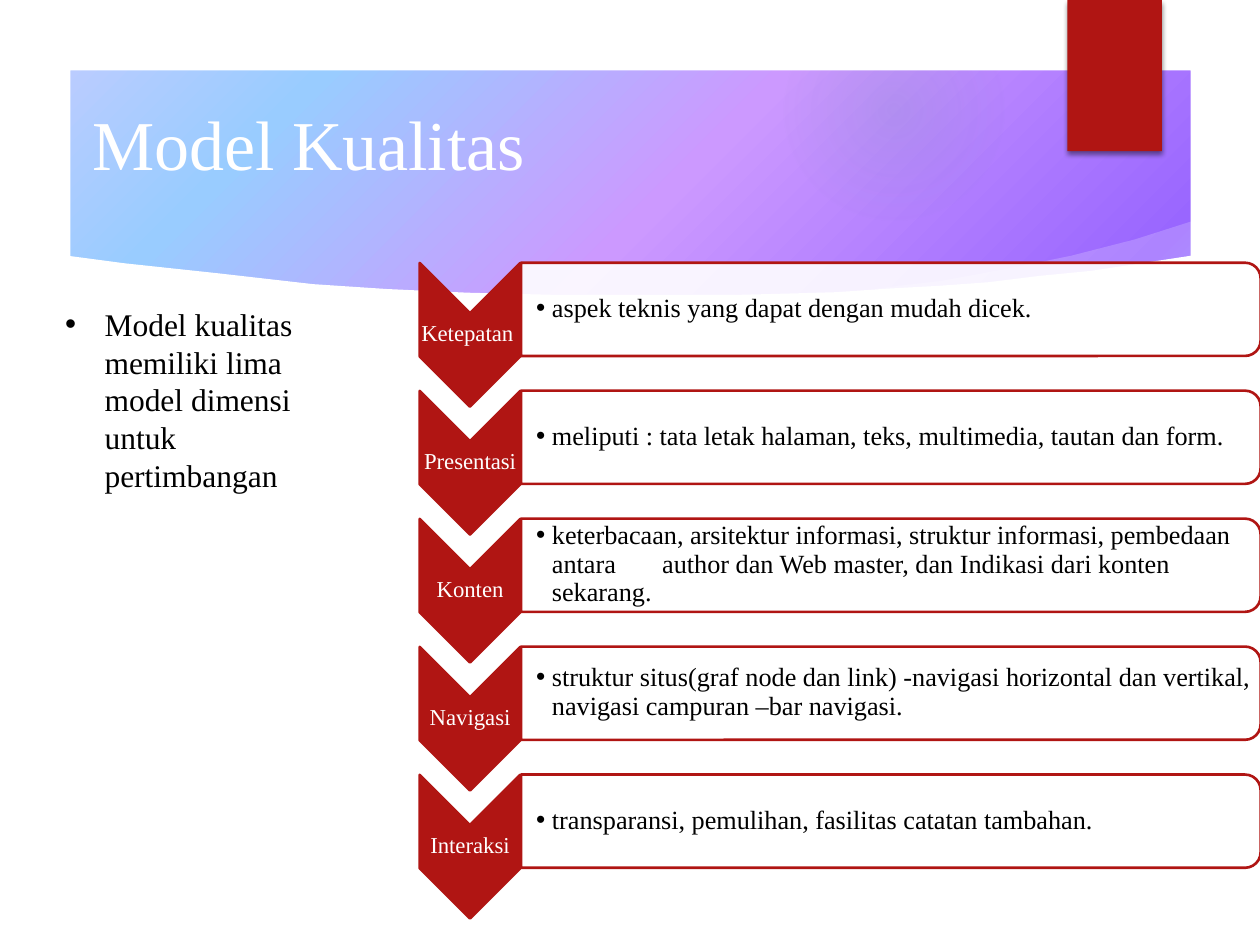
from dataclasses import dataclass

import pptx
import pptx.dml.color
import pptx.enum.shapes
import pptx.enum.text
import pptx.oxml
import pptx.oxml.ns
import pptx.util
from lxml import etree

Pt = pptx.util.Pt
RGB = pptx.dml.color.RGBColor
Kind = pptx.enum.shapes.MSO_SHAPE
Anchor = pptx.enum.text.MSO_ANCHOR
Align = pptx.enum.text.PP_ALIGN
Fit = pptx.enum.text.MSO_AUTO_SIZE
qn = pptx.oxml.ns.qn

RED = RGB(0xB0, 0x15, 0x13)
WHITE = RGB(0xFF, 0xFF, 0xFF)
BLACK = RGB(0, 0, 0)
TEAL = RGB(0x5F, 0x9C, 0x9D)
LILAC = RGB(0xCC, 0xCC, 0xFF)
SKY = RGB(0x99, 0xCC, 0xFF)
VIOLET = RGB(0x99, 0x66, 0xFF)
ORCHID = RGB(0xCC, 0x99, 0xFF)
FONT = "Times New Roman"

WIDTH, HEIGHT = 720, 540
PITCH = 73.12
LINEAR = '<a:lin ang="13500000" scaled="0"/>'
RADIAL = '<a:path path="circle"><a:fillToRect l="50000" t="50000" r="50000" b="50000"/></a:path>'

HOLE = [(40.3, 40.3), (680.4, 40.3), (680.4, 146.2), (652, 150.5), (623.5, 154.8),
        (594, 157.7), (565, 161.3), (536, 163.4), (507, 165), (478, 167),
        (450, 167.8), (422.6, 168.5), (368, 168.5), (316, 168.5), (267, 167.3),
        (221, 165.2), (179, 162.4), (124.6, 156.2), (71.3, 150.5), (40.3, 146.4)]
SWOOSH = [(501.1, 164.9), (537.8, 160.6), (576.7, 153.4), (612, 146.2), (648.7, 136.8),
          (684.7, 125.3), (688.3, 149.8), (640, 157), (590, 163.5), (540, 167.5), (503.3, 168.5)]


@dataclass
class Box:
    """A frame in points."""
    left: float
    top: float
    width: float
    height: float

    def frame(self) -> list:
        return [Pt(v) for v in (self.left, self.top, self.width, self.height)]

    def down(self, step: float) -> "Box":
        return Box(self.left, self.top + step, self.width, self.height)


@dataclass
class Row:
    label: str
    note: str


ROWS = [
    Row("Ketepatan ", "aspek teknis yang dapat dengan mudah dicek."),
    Row("Presentasi", "meliputi : tata letak halaman, teks, multimedia, tautan dan form."),
    Row("Konten", "keterbacaan, arsitektur informasi, struktur informasi, pembedaan "
        "antara \tauthor dan Web master, dan Indikasi dari konten sekarang."),
    Row("Navigasi", "struktur situs(graf node dan link) -navigasi horizontal dan vertikal, "
        "navigasi campuran –bar navigasi."),
    Row("Interaksi", "transparansi, pemulihan, fasilitas catatan tambahan."),
]

ARROW = Box(227.5, 162.6, 82.1, 57.5)
LABEL = Box(239.8, 178.6, 57.6, 24.5)
BAR = Box(482.4, -34.5, 53.3, 422.6)
NOTE = Box(297.4, 152.4, 419.8, 48.2)


def blend(fill, root, stops: list, shade: str) -> None:
    """Give a gradient; each stop is (percent, colour, opacity percent)."""
    fill.gradient()
    old = root.find(".//" + qn("a:gradFill"))
    marks = "".join(
        f'<a:gs pos="{at * 1000}"><a:srgbClr val="{hue}">'
        f'<a:alpha val="{alpha * 1000}"/></a:srgbClr></a:gs>'
        for at, hue, alpha in stops)
    new = pptx.oxml.parse_xml(
        f'<a:gradFill {pptx.oxml.ns.nsdecls("a")} rotWithShape="1">'
        f"<a:gsLst>{marks}</a:gsLst>{shade}</a:gradFill>")
    old.getparent().replace(old, new)


def paint(shape, hue: RGB, alpha: int = 100, edge: bool = False) -> None:
    shape.shadow.inherit = False
    shape.fill.solid()
    shape.fill.fore_color.rgb = hue
    if alpha < 100:
        mark = shape.element.spPr.find(qn("a:solidFill"))[0]
        etree.SubElement(mark, qn("a:alpha"), val=str(alpha * 1000))
    if edge:
        shape.line.color.rgb = RED
        shape.line.width = Pt(1.5)
    else:
        shape.line.fill.background()


def outline(shapes, *loops: list):
    """Build one freeform from closed loops of points."""
    pen = None
    for loop in loops:
        x, y = loop[0]
        if pen is None:
            pen = shapes.build_freeform(x * 100, y * 100, scale=Pt(1) / 100)
        else:
            pen.move_to(x * 100, y * 100)
        pen.add_line_segments([(a * 100, b * 100) for a, b in loop[1:]], close=True)
    return pen.convert_to_shape()


def write(shape, text: str, size: float, hue: RGB, inset: float = 0,
          **form) -> None:
    """Fill a text shape; form holds bullet indent, lead, and frame settings."""
    indent = form.pop("indent", 0)
    lead = form.pop("lead", 1.0)
    align = form.pop("align", Align.LEFT)
    frame = shape.text_frame
    frame.word_wrap = True
    for name, value in form.items():
        setattr(frame, name, value)
    if inset:
        for side in ("left", "right", "top", "bottom"):
            setattr(frame, "margin_" + side, Pt(inset))
        if indent:
            frame.margin_left = Pt(indent)
    para = frame.paragraphs[0]
    para.alignment = align
    para.line_spacing = lead
    run = para.add_run()
    run.text = text
    for name, value in {"size": Pt(size), "name": FONT}.items():
        setattr(run.font, name, value)
    run.font.color.rgb = hue
    if indent:
        props = para._p.get_or_add_pPr()
        props.set("marL", str(Pt(indent)))
        props.set("indent", str(-Pt(indent)))
        etree.SubElement(props, qn("a:buFont"), typeface="Arial")
        etree.SubElement(props, qn("a:buChar"), char="•")


def banner(slide) -> None:
    """Draw the colour band that shows through a white cover."""
    blend(slide.background.fill, slide.element,
          [(0, LILAC, 100), (18, SKY, 100), (36, VIOLET, 100),
           (61, ORCHID, 100), (82, SKY, 100), (100, LILAC, 100)], LINEAR)
    shapes = slide.shapes
    glow = shapes.add_shape(Kind.OVAL, *Box(447.8, 0, 126, 126).frame())
    paint(glow, TEAL)
    blend(glow.fill, glow.element, [(0, TEAL, 14), (36, TEAL, 7), (73, TEAL, 0)], RADIAL)
    paint(outline(shapes, SWOOSH), WHITE, 20)
    edge = [(0, 0), (0, HEIGHT), (WIDTH, HEIGHT), (WIDTH, 0)]
    paint(outline(shapes, edge, HOLE), WHITE)

    tab = shapes.add_shape(Kind.RECTANGLE, *Box(609.9, 0, 54, 86.4).frame())
    paint(tab, RED)
    cast = etree.SubElement(tab.element.spPr.find(qn("a:effectLst")), qn("a:outerShdw"),
                            blurRad=str(Pt(3)), dist=str(Pt(2)), dir="5400000", rotWithShape="0")
    hue = etree.SubElement(cast, qn("a:srgbClr"), val=str(BLACK))
    etree.SubElement(hue, qn("a:alpha"), val="45000")


def draw(shapes, row: Row, step: float) -> None:
    arrow = shapes.add_shape(Kind.CHEVRON, *ARROW.down(step).frame())
    paint(arrow, RED, edge=True)
    bar = shapes.add_shape(Kind.ROUND_2_SAME_RECTANGLE, *BAR.down(step).frame())
    paint(bar, WHITE, 90, edge=True)
    arrow.rotation = bar.rotation = 90
    write(shapes.add_textbox(*LABEL.down(step).frame()), row.label, 13, WHITE, 0.7,
          align=Align.CENTER, lead=0.9, vertical_anchor=Anchor.MIDDLE)
    write(shapes.add_textbox(*NOTE.down(step).frame()), row.note, 15, BLACK, 0.7,
          indent=9, lead=0.9, vertical_anchor=Anchor.MIDDLE)


def main() -> None:
    deck = pptx.Presentation()
    deck.slide_width, deck.slide_height = Pt(WIDTH), Pt(HEIGHT)
    slide = deck.slides.add_slide(deck.slide_layouts[5])
    shapes = slide.shapes
    banner(slide)

    title = shapes.title
    title.left, title.top, title.width, title.height = Box(45.4, 54, 648, 55.4).frame()
    write(title, "Model Kualitas", 40, WHITE,
          vertical_anchor=Anchor.MIDDLE, auto_size=Fit.NONE)
    title.element.getparent().append(title.element)  # bring above the cover

    intro = shapes.add_textbox(*Box(30.2, 170.6, 180, 116.6).frame())
    write(intro, "Model kualitas memiliki lima model dimensi untuk pertimbangan",
          18, BLACK, indent=22.5, auto_size=Fit.SHAPE_TO_FIT_TEXT)
    for i, row in enumerate(ROWS):
        draw(shapes, row, i * PITCH)
    deck.save("out.pptx")


if __name__ == "__main__":
    main()
